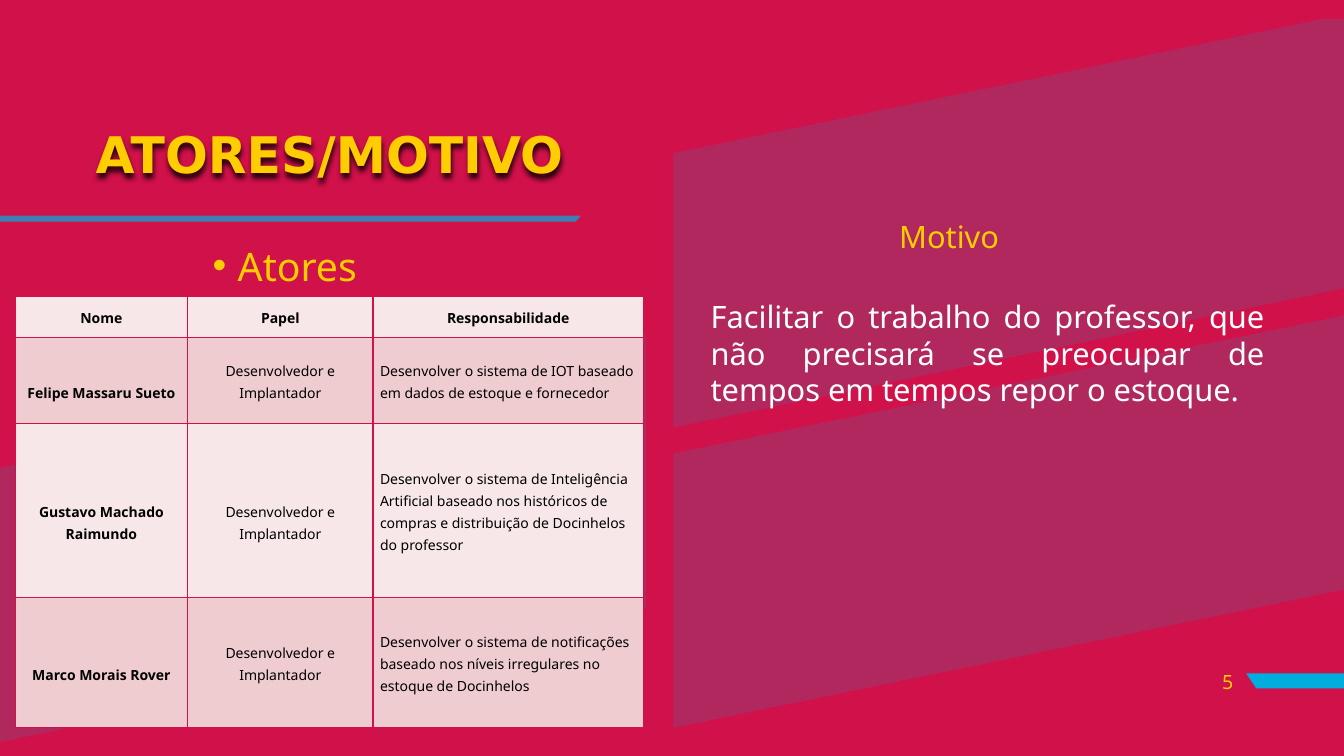
import lxml.etree
import pptx
import pptx.dml.color
import pptx.enum.text
import pptx.oxml
import pptx.oxml.ns
import pptx.util

Inches, Pt = pptx.util.Inches, pptx.util.Pt
ALIGN = pptx.enum.text.PP_ALIGN
MIDDLE = pptx.enum.text.MSO_ANCHOR.MIDDLE
NS = pptx.oxml.ns.nsdecls("a")
qn = pptx.oxml.ns.qn


def paint(target, color):
    """Give a fill or a font a solid hex colour."""
    if hasattr(target, "solid"):
        target.solid()
        target.fore_color.rgb = pptx.dml.color.RGBColor.from_string(color)
    else:
        target.color.rgb = pptx.dml.color.RGBColor.from_string(color)


def write(tf, text, size, color, bold=False, align=ALIGN.LEFT, spacing=1.0, font="Noto Sans"):
    tf.text = text
    tf.word_wrap = True
    p = tf.paragraphs[0]
    p.alignment = align
    p.line_spacing = spacing
    r = p.runs[0]
    r.font.size = Pt(size)
    r.font.name = font
    r.font.bold = bold
    paint(r.font, color)
    return p


prs = pptx.Presentation()
prs.slide_width, prs.slide_height = Inches(13.33), Inches(7.5)
s = prs.slides.add_slide(prs.slide_layouts[6])
paint(s.background.fill, "D11149")

# Slanted panels and the two accent bars: outlines, opacity in percent
panels = [
    [(6.41, 3.31), (6.41, 6.03), (0.01, 7.36), (0, 7.36), (0, 4.64)],
    [(13.33, 3.13), (13.33, 5.85), (6.68, 7.22), (6.68, 4.5)],
    [(13.11, 0.19), (13.33, 0.19), (13.33, 2.86), (6.68, 4.24), (6.68, 1.52)],
]
number_bar = [[(13.33, 6.68), (13.33, 6.83), (12.46, 6.83), (12.36, 6.68)]]
title_bar = [[(0, 2.14), (0, 2.2), (5.71, 2.2), (5.76, 2.14)]]
for outlines, opacity in [(panels, 15), (number_bar, 100), (title_bar, 70)]:
    builder = None
    for outline in outlines:
        points = [(Inches(x), Inches(y)) for x, y in outline]
        if builder is None:
            builder = s.shapes.build_freeform(*points[0])
        else:
            builder.move_to(*points[0])
        builder.add_line_segments(points[1:], close=True)
    sp = builder.convert_to_shape()
    sp.shadow.inherit = False
    sp.line.fill.background()
    paint(sp.fill, "00AEDE")
    if opacity < 100:
        color = sp._element.spPr.find(qn("a:solidFill"))[0]
        lxml.etree.SubElement(color, qn("a:alpha"), val=str(opacity * 1000))

# Title with a soft shadow
title = s.shapes.add_textbox(Inches(0.85), Inches(1.13), Inches(5.53), Inches(0.86))
title.text_frame.vertical_anchor = MIDDLE
write(title.text_frame, "ATORES/MOTIVO", 36, "FFCD00", True, spacing=0.9, font="DejaVu Sans")
title._element.spPr.append(pptx.oxml.parse_xml(
    f'<a:effectLst {NS}><a:outerShdw blurRad="50800" dist="38100" dir="5400000">'
    '<a:srgbClr val="000000"><a:alpha val="80000"/></a:srgbClr></a:outerShdw></a:effectLst>'))

number = s.shapes.add_textbox(Inches(11.73), Inches(6.56), Inches(0.6), Inches(0.4))
number.text_frame.vertical_anchor = MIDDLE
write(number.text_frame, "5", 14, "FFCD00", align=ALIGN.RIGHT)

motive_heading = s.shapes.add_textbox(Inches(8.82), Inches(2.15), Inches(1.97), Inches(0.57))
write(motive_heading.text_frame, "Motivo", 22, "FFCD00", spacing=0.9)

motive = s.shapes.add_textbox(Inches(6.95), Inches(2.9), Inches(5.69), Inches(4.28))
write(motive.text_frame, "Facilitar o trabalho do professor, que não precisará se preocupar de "
      "tempos em tempos repor o estoque.", 22, "FFFFFF", align=ALIGN.JUSTIFY)

actors_heading = s.shapes.add_textbox(Inches(2.01), Inches(2.44), Inches(4.77), Inches(0.5))
p = write(actors_heading.text_frame, "Atores", 28, "FFCD00", spacing=0.8)
pPr = p._p.get_or_add_pPr()
pPr.set("marL", str(Inches(0.25)))
pPr.set("indent", str(Inches(-0.25)))
lxml.etree.SubElement(pPr, qn("a:buFont"), typeface="Arial")
lxml.etree.SubElement(pPr, qn("a:buChar"), char="•")

# Actors table
role = "Desenvolvedor e Implantador"
rows = [
    ("Nome", "Papel", "Responsabilidade"),
    ("Felipe Massaru Sueto", role,
     "Desenvolver o sistema de IOT baseado em dados de estoque e fornecedor"),
    ("Gustavo Machado Raimundo", role,
     "Desenvolver o sistema de Inteligência Artificial baseado nos históricos de "
     "compras e distribuição de Docinhelos do professor"),
    ("Marco Morais Rover", role,
     "Desenvolver o sistema de notificações baseado nos níveis irregulares no "
     "estoque de Docinhelos"),
]
lowered = {(1, 0), (2, 0), (2, 1), (3, 0)}  # cells whose text sits one line lower
table = s.shapes.add_table(4, 3, Inches(0.15), Inches(2.94), Inches(6.23), Inches(4.28)).table
table.first_row = table.horz_banding = False
for column, width in zip(table.columns, (1.71, 1.84, 2.68)):
    column.width = Inches(width)
for row, height in zip(table.rows, (0.41, 0.85, 1.73, 1.29)):
    row.height = Inches(height)

for i, texts in enumerate(rows):
    for j, text in enumerate(texts):
        cell = table.cell(i, j)
        cell.vertical_anchor = MIDDLE
        cell.margin_left = cell.margin_right = Inches(0.07)
        cell.margin_top = Inches(0.22 if (i, j) in lowered else 0)
        cell.margin_bottom = 0
        centred = i == 0 or j < 2
        write(cell.text_frame, text, 10, "000000", i == 0 or j == 0,
              ALIGN.CENTER if centred else ALIGN.LEFT, 1.15)
        tcPr = cell._tc.get_or_add_tcPr()
        for side in ("lnL", "lnR", "lnT", "lnB"):
            tcPr.append(pptx.oxml.parse_xml(
                f'<a:{side} {NS} w="12700"><a:solidFill><a:srgbClr val="D11149"/>'
                f'</a:solidFill></a:{side}>'))
        paint(cell.fill, "EECCD0" if i % 2 else "F7E7E9")

prs.save("out.pptx")
